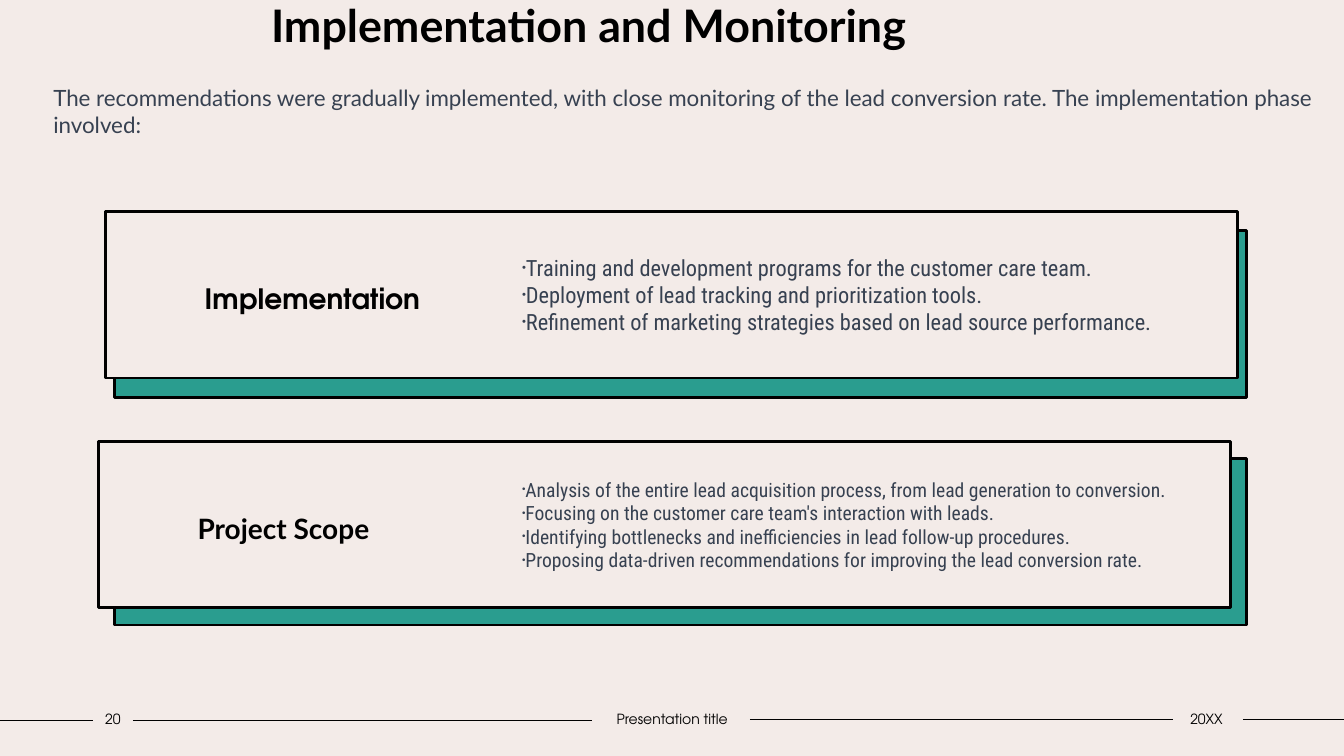
from pptx import Presentation
from pptx.util import Pt
from pptx.dml.color import RGBColor
from pptx.enum.shapes import MSO_SHAPE, MSO_CONNECTOR
from pptx.enum.text import MSO_ANCHOR, PP_ALIGN
from lxml.etree import SubElement
from pptx.oxml.ns import qn

# Content
TITLE = "Implementation and Monitoring"
INTRO = ("The recommendations were gradually implemented, with close monitoring "
         "of the lead conversion rate. The implementation phase involved:")
LATO, ROBOTO, GYRE = "Lato", "Roboto Condensed", "TeX Gyre Adventor"
# label, label font, card left, card top, shade top, list size, items
CARDS = [
    ("Implementation", GYRE, 75.6, 151.2, 164.9, 16, [
        "Training and development programs for the customer care team.",
        "Deployment of lead tracking and prioritization tools.",
        "Refinement of marketing strategies based on lead source performance.",
    ]),
    ("Project Scope", LATO, 70.5, 315.3, 327.6, 14, [
        "Analysis of the entire lead acquisition process, from lead generation to conversion.",
        "Focusing on the customer care team's interaction with leads.",
        "Identifying bottlenecks and inefficiencies in lead follow-up procedures.",
        "Proposing data-driven recommendations for improving the lead conversion rate.",
    ]),
]
# text, left, width
FOOTER = [("20", 66.2, 28.8), ("Presentation title", 422.6, 115.2),
          ("20XX", 836.6, 50.4)]
# start, end, height
RULES = [(0, 66.2, 514.8), (95, 422.6, 514.8),
         (535.7, 838.1, 514.1), (887.8, 960, 514.1)]

SAND = RGBColor(0xF3, 0xEB, 0xE8)
TEAL = RGBColor(0x2A, 0x9D, 0x8F)
SLATE = RGBColor(0x37, 0x41, 0x51)
BLACK = RGBColor(0, 0, 0)

CARD_W, CARD_H = 808.6, 118.8
SHADE_X = 82.1
LIST_X, LIST_W, LIST_H = 365.8, 504.7, 104.4

deck = Presentation()
deck.slide_width, deck.slide_height = Pt(960), Pt(540)
slide = deck.slides.add_slide(deck.slide_layouts[6])
slide.background.fill.solid()
slide.background.fill.fore_color.rgb = SAND


def write(shape, text, font, size, color, bold=False,
          align=PP_ALIGN.LEFT, anchor=MSO_ANCHOR.TOP):
    frame = shape.text_frame
    frame.text = text
    frame.word_wrap = True
    frame.vertical_anchor = anchor
    for para in frame.paragraphs:
        para.alignment = align
        for run in para.runs:
            run.font.name = font
            run.font.size = Pt(size)
            run.font.bold = bold
            run.font.color.rgb = color
    return frame


def add_text(x, y, w, h, *args, **style):
    box = slide.shapes.add_textbox(Pt(x), Pt(y), Pt(w), Pt(h))
    return write(box, *args, **style)


def add_rect(x, y, fill):
    rect = slide.shapes.add_shape(
        MSO_SHAPE.RECTANGLE, Pt(x), Pt(y), Pt(CARD_W), Pt(CARD_H))
    rect.shadow.inherit = False
    rect.fill.solid()
    rect.fill.fore_color.rgb = fill
    rect.line.color.rgb = BLACK
    rect.line.width = Pt(2)
    return rect


def add_bullet(para):
    props = para._p.get_or_add_pPr()
    props.set("marL", "0")
    props.set("indent", str(-Pt(10.8)))
    SubElement(props, qn("a:buSzPct")).set("val", "50000")
    SubElement(props, qn("a:buFont")).set("typeface", "Arial")
    SubElement(props, qn("a:buChar")).set("char", "•")


# Footer rules
for start, end, y in RULES:
    rule = slide.shapes.add_connector(
        MSO_CONNECTOR.STRAIGHT, Pt(start), Pt(y), Pt(end), Pt(y))
    rule.line.color.rgb = BLACK
    rule.line.width = Pt(1)
    SubElement(rule._element.spPr, qn("a:effectLst"))

# Heading
add_text(186.5, -5, 481.7, 54, TITLE, LATO, 32, BLACK, bold=True)
add_text(31, 56.9, 921.6, 54, INTRO, LATO, 16, SLATE)

# Cards with their offset shades
for label, font, x, y, shade_y, size, items in CARDS:
    add_rect(SHADE_X, shade_y, TEAL)
    card = add_rect(x, y, SAND)
    frame = write(card, label, font, 20, BLACK, bold=True,
                  anchor=MSO_ANCHOR.MIDDLE)
    frame.margin_left, frame.margin_right = Pt(70.6), Pt(511.2)
    frame.paragraphs[0].line_spacing = 1.2
    points = add_text(LIST_X, y + (CARD_H - LIST_H) / 2, LIST_W, LIST_H,
                      "\n".join(items), ROBOTO, size, SLATE,
                      anchor=MSO_ANCHOR.MIDDLE)
    for para in points.paragraphs:
        add_bullet(para)

# Footer text
for text, x, w in FOOTER:
    frame = add_text(x, 504, w, 19.4, text, GYRE, 10, BLACK,
                     align=PP_ALIGN.CENTER, anchor=MSO_ANCHOR.MIDDLE)
    frame.margin_left = frame.margin_right = 0

deck.save("out.pptx")
